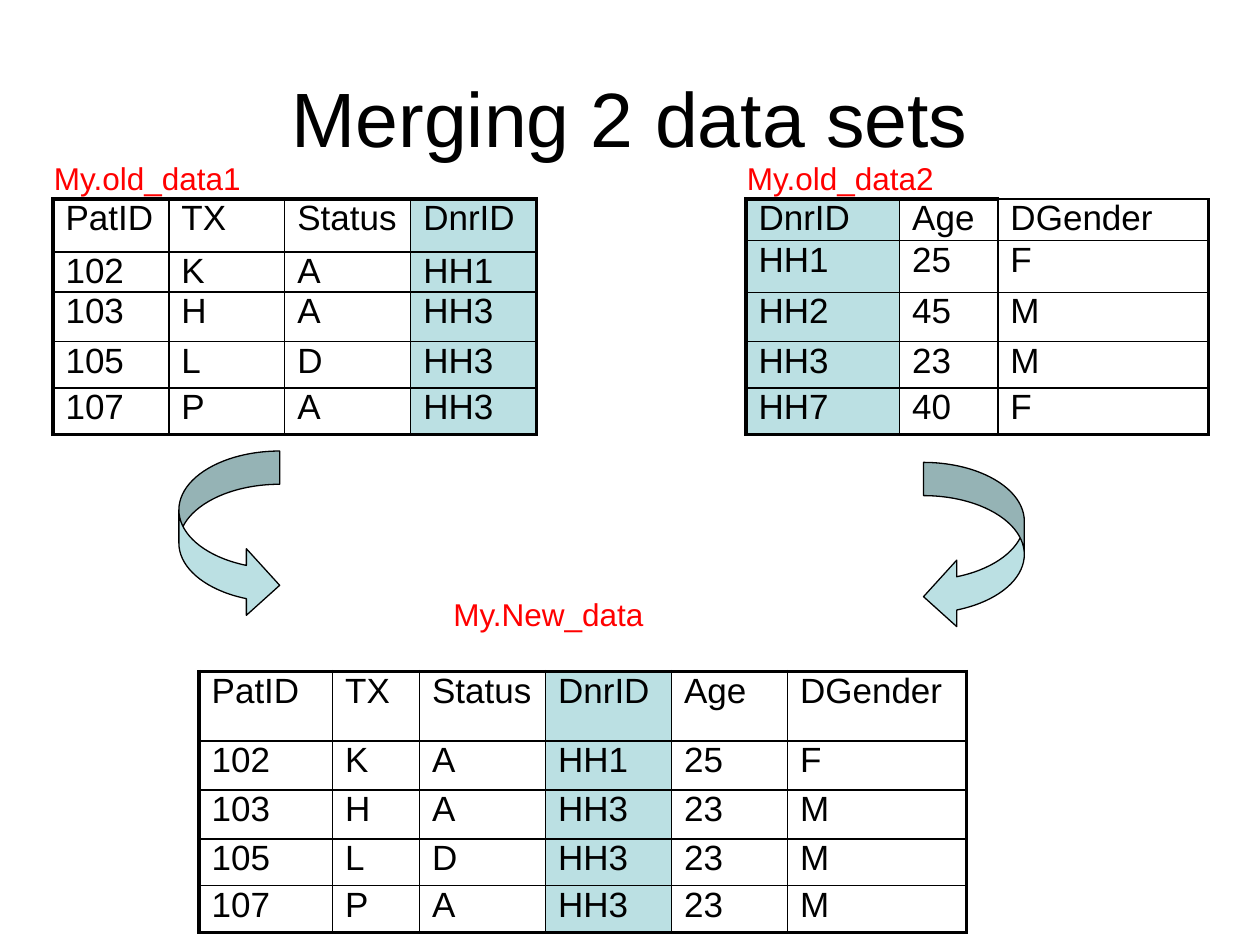
from dataclasses import dataclass

from lxml.etree import SubElement
from pptx import Presentation
from pptx.dml.color import RGBColor
from pptx.enum.shapes import MSO_SHAPE
from pptx.enum.text import MSO_ANCHOR, MSO_AUTO_SIZE, PP_ALIGN
from pptx.oxml.ns import qn
from pptx.slide import Slide
from pptx.table import _Cell
from pptx.util import Inches, Pt


@dataclass(frozen=True)
class Theme:
    font: str = "Arial"
    ink: RGBColor = RGBColor(0, 0, 0)
    key: RGBColor = RGBColor(0xBB, 0xE0, 0xE3)
    name: RGBColor = RGBColor(0xFF, 0, 0)
    title_size: float = 44
    cell_size: float = 20
    name_size: float = 18
    outer_rule: float = 2.25
    inner_rule: float = 1
    outline: float = 0.75


@dataclass(frozen=True)
class DataSet:
    name: str
    name_at: tuple[float, float]
    name_width: float
    at: tuple[float, float]
    widths: tuple[float, ...]
    heights: tuple[float, ...]
    rows: list[tuple[str, ...]]
    thin_top: tuple[str, ...] = ()


@dataclass(frozen=True)
class Arrow:
    kind: MSO_SHAPE
    left: float
    top: float


THEME = Theme()
KEY = "DnrID"

PATIENTS = [
    ("PatID", "TX", "Status", KEY),
    ("102", "K", "A", "HH1"),
    ("103", "H", "A", "HH3"),
    ("105", "L", "D", "HH3"),
    ("107", "P", "A", "HH3"),
]
DONORS = [
    (KEY, "Age", "DGender"),
    ("HH1", "25", "F"),
    ("HH2", "45", "M"),
    ("HH3", "23", "M"),
    ("HH7", "40", "F"),
]
DONOR_DETAILS = {donor[0]: donor[1:] for donor in DONORS}
MERGED = [patient + DONOR_DETAILS[patient[-1]] for patient in PATIENTS]

DATA_SETS = [
    DataSet("My.old_data2", (5.83, 1.21), 1.7, (5.92, 1.58),
            (1.22, 0.78, 1.67), (0.33, 0.41, 0.39, 0.37, 0.37), DONORS, ("DGender",)),
    DataSet("My.old_data1", (0.33, 1.21), 1.7, (0.42, 1.58),
            (0.92, 0.92, 1, 1), (0.42, 0.32, 0.39, 0.37, 0.37), PATIENTS),
    DataSet("My.New_data", (3.5, 4.67), 1.73, (1.58, 5.33),
            (1.06, 0.69, 1, 1, 0.92, 1.42), (0.55, 0.39, 0.39, 0.37, 0.37), MERGED),
]
ARROWS = [
    Arrow(MSO_SHAPE.CURVED_RIGHT_ARROW, 1.42, 3.58),
    Arrow(MSO_SHAPE.CURVED_LEFT_ARROW, 7.33, 3.67),
]


def style_font(paragraph, size: float, color: RGBColor) -> None:
    paragraph.font.name = THEME.font
    paragraph.font.size = Pt(size)
    paragraph.font.color.rgb = color


def rule_cell(cell: _Cell, outer_sides: dict[str, bool]) -> None:
    """Border each side, thick where it lies on the edge of the table."""
    properties = cell._tc.get_or_add_tcPr()
    for side, outer in outer_sides.items():
        width = THEME.outer_rule if outer else THEME.inner_rule
        border = SubElement(properties, qn(f"a:ln{side}"), w=str(Pt(width)))
        fill = SubElement(border, qn("a:solidFill"))
        SubElement(fill, qn("a:srgbClr"), val=str(THEME.ink))


def add_data_table(slide: Slide, data: DataSet) -> None:
    header = data.rows[0]
    last_row, last_column = len(data.rows) - 1, len(header) - 1
    table = slide.shapes.add_table(
        len(data.rows), len(header), *map(Inches, data.at),
        Inches(sum(data.widths)), Inches(sum(data.heights))).table
    table.first_row = table.horz_banding = False
    for column, width in zip(table.columns, data.widths):
        column.width = Inches(width)
    for row, height in zip(table.rows, data.heights):
        row.height = Inches(height)

    for r, values in enumerate(data.rows):
        for c, value in enumerate(values):
            cell = table.cell(r, c)
            cell.text = value
            cell.margin_left = cell.margin_right = Inches(0.1)
            cell.margin_top = cell.margin_bottom = 0
            style_font(cell.text_frame.paragraphs[0], THEME.cell_size, THEME.ink)
            rule_cell(cell, {
                "L": c == 0,
                "R": c == last_column,
                "T": r == 0 and value not in data.thin_top,
                "B": r == last_row,
            })
            if header[c] == KEY:
                cell.fill.solid()
                cell.fill.fore_color.rgb = THEME.key
            else:
                cell.fill.background()


def add_name(slide: Slide, data: DataSet) -> None:
    frame = slide.shapes.add_textbox(
        *map(Inches, data.name_at), Inches(data.name_width), Inches(0.4)).text_frame
    frame.word_wrap = False
    frame.auto_size = MSO_AUTO_SIZE.SHAPE_TO_FIT_TEXT
    frame.text = data.name
    style_font(frame.paragraphs[0], THEME.name_size, THEME.name)


def add_arrow(slide: Slide, arrow: Arrow) -> None:
    shape = slide.shapes.add_shape(
        arrow.kind, Inches(arrow.left), Inches(arrow.top), Inches(0.8), Inches(1.33))
    for index, adjustment in enumerate((0.33, 0.66, 0.33)):
        shape.adjustments[index] = adjustment
    shape.shadow.inherit = False
    shape.fill.solid()
    shape.fill.fore_color.rgb = THEME.key
    shape.line.color.rgb = THEME.ink
    shape.line.width = Pt(THEME.outline)


def set_title(slide: Slide, text: str) -> None:
    title = slide.shapes.title
    title.left, title.top, title.width, title.height = map(Inches, (0.5, 0.3, 9, 1.25))
    title.text_frame.text = text
    title.text_frame.vertical_anchor = MSO_ANCHOR.MIDDLE
    heading = title.text_frame.paragraphs[0]
    heading.alignment = PP_ALIGN.CENTER
    style_font(heading, THEME.title_size, THEME.ink)


def main() -> None:
    presentation = Presentation()
    presentation.slide_width = Inches(10)
    presentation.slide_height = Inches(7.5)
    slide = presentation.slides.add_slide(presentation.slide_layouts[5])
    set_title(slide, "Merging 2 data sets")
    for data in DATA_SETS:
        add_data_table(slide, data)
    for arrow in ARROWS:
        add_arrow(slide, arrow)
    for data in DATA_SETS:
        add_name(slide, data)
    presentation.save("out.pptx")


if __name__ == "__main__":
    main()
